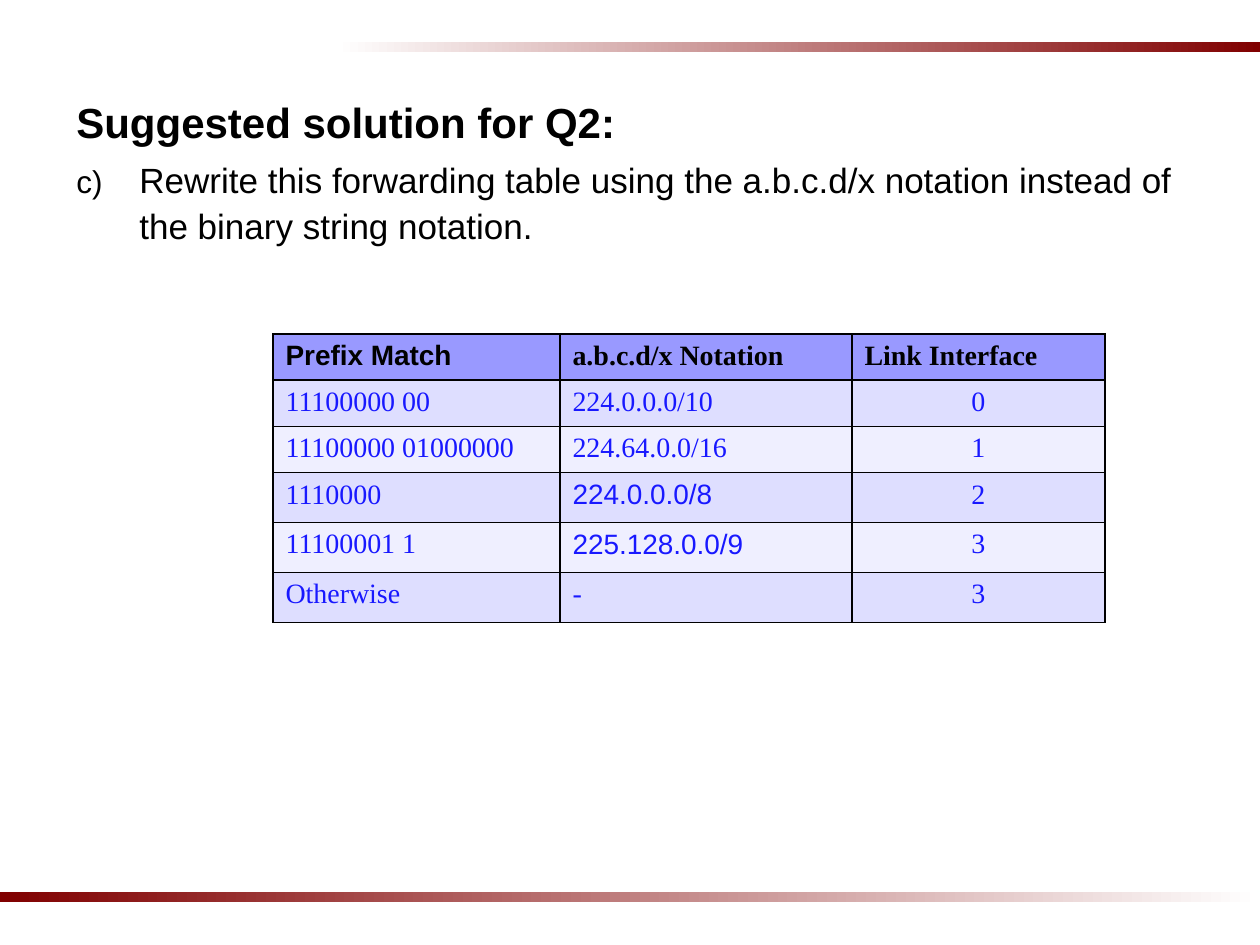
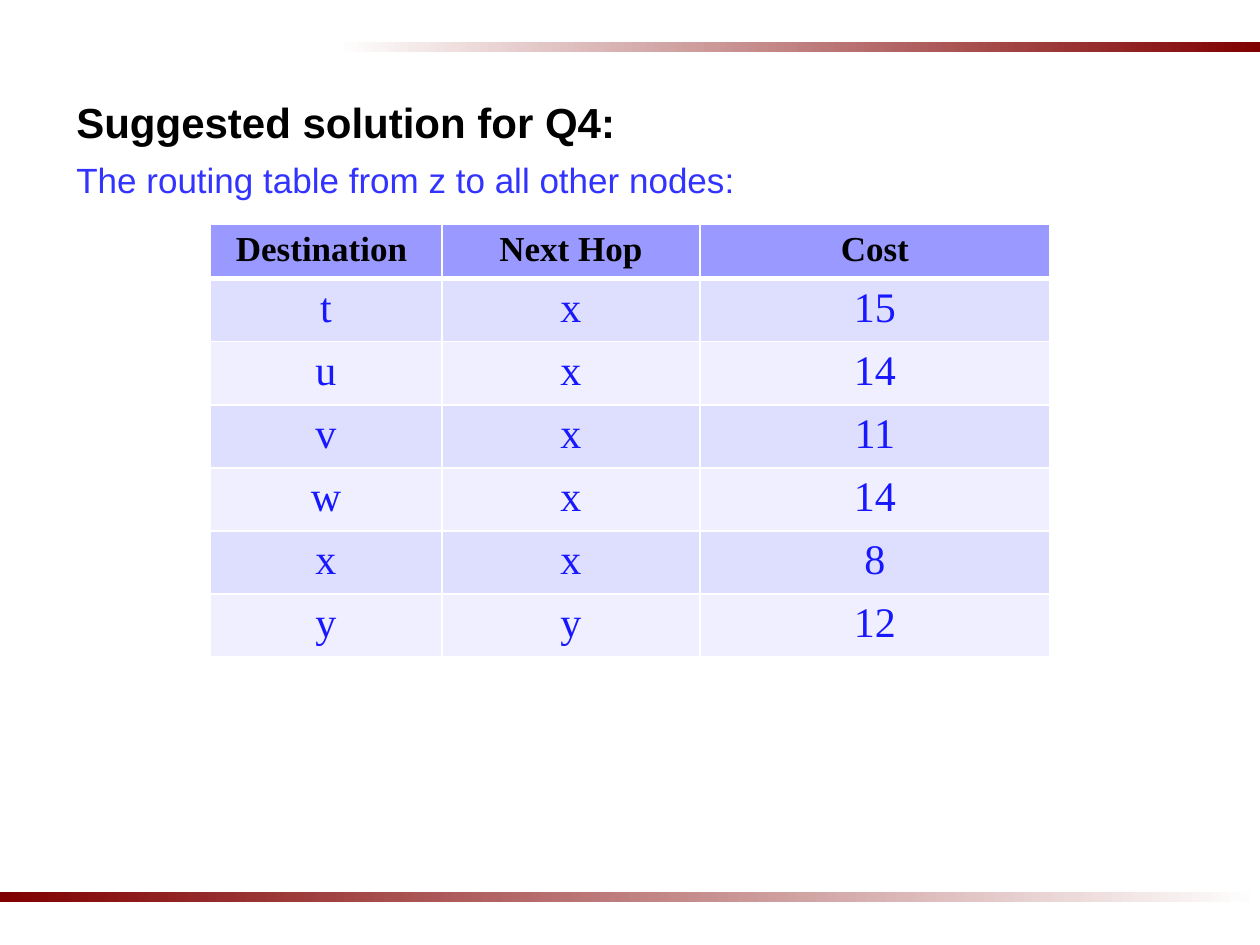
from lxml import etree
from pptx import Presentation
from pptx import util as u
from pptx.dml.color import RGBColor
from pptx.enum import shapes, text
from pptx.oxml import ns

MAROON = RGBColor(0x80, 0x00, 0x00)
WHITE = RGBColor(0xFF, 0xFF, 0xFF)
BLACK = RGBColor(0x00, 0x00, 0x00)
LEAD_BLUE = RGBColor(0x33, 0x33, 0xFF)
ENTRY_BLUE = RGBColor(0x18, 0x18, 0xFF)
HEADER_FILL = RGBColor(0x99, 0x99, 0xFF)
ROW_FILLS = [RGBColor(0xEF, 0xEF, 0xFF), RGBColor(0xDE, 0xDE, 0xFF)]
SANS, SERIF = "Arial", "Times New Roman"

BANDS = [(336, 42, 924, 10, WHITE, MAROON), (0, 892, 1260, 10, MAROON, WHITE)]

solutions = [
    dict(
        title="Suggested solution for Q2:",
        lead="Rewrite this forwarding table using the a.b.c.d/x notation instead of the binary string notation.",
        lead_color=BLACK, number_from=3,
        left=273, top=334, columns=[287, 292, 253], heights=[45, 44, 46, 50, 50, 50],
        header_size=16, entry_size=16, border=BLACK, header_rule=1,
        centred={(row, 2) for row in range(1, 6)},
        sans={(0, 0), (3, 1), (4, 1)},
        rows=[
            ["Prefix Match", "a.b.c.d/x Notation", "Link Interface"],
            ["11100000 00", "224.0.0.0/10", "0"],
            ["11100000 01000000", "224.64.0.0/16", "1"],
            ["1110000", "224.0.0.0/8", "2"],
            ["11100001 1", "225.128.0.0/9", "3"],
            ["Otherwise", "-", "3"],
        ],
    ),
    dict(
        title="Suggested solution for Q4:",
        lead="The routing table from z to all other nodes:",
        lead_color=LEAD_BLUE, number_from=None,
        left=210, top=224, columns=[232, 258, 350], heights=[52] * 7,
        header_size=20, entry_size=24, border=WHITE, header_rule=3,
        centred={(row, column) for row in range(7) for column in range(3)},
        sans=set(),
        rows=[
            ["Destination ", "Next Hop", "Cost"],
            ["t", "x", "15"],
            ["u", "x", "14"],
            ["v", "x", "11"],
            ["w", "x", "14"],
            ["x", "x", "8"],
            ["y", "y", "12"],
        ],
    ),
]


def px(*lengths):
    return [u.Emu(round(length * 914400 / 126)) for length in lengths]


def add_element(parent, tag, **attributes):
    element = etree.SubElement(parent, ns.qn(tag))
    for key, value in attributes.items():
        element.set(key, str(value))
    return element


deck = Presentation()
deck.slide_width, deck.slide_height = px(1260, 945)

for solution in solutions:
    slide = deck.slides.add_slide(deck.slide_layouts[6])

    for left, top, width, height, start, end in BANDS:
        band = slide.shapes.add_shape(shapes.MSO_SHAPE.RECTANGLE, *px(left, top, width, height))
        band.shadow.inherit = False
        band.line.fill.background()
        band.fill.gradient()
        band.fill.gradient_angle = 0
        for stop, color in zip(band.fill.gradient_stops, (start, end)):
            stop.color.rgb = color

    body = slide.shapes.add_textbox(*px(64, 96, 1160, 804)).text_frame
    body.word_wrap = True
    title, lead = body.paragraphs[0], body.add_paragraph()
    title.text, lead.text = solution["title"], solution["lead"]
    title.line_spacing, lead.line_spacing = 0.9, 1.1
    title.space_before, lead.space_before = u.Pt(4.8), u.Pt(4)

    if solution["number_from"]:
        numbering = lead._p.get_or_add_pPr()
        hang = px(63)[0]
        numbering.set("marL", str(hang))
        numbering.set("indent", str(-hang))
        add_element(add_element(numbering, "a:buClr"), "a:srgbClr", val=BLACK)
        add_element(numbering, "a:buSzPct", val=90000)
        add_element(numbering, "a:buAutoNum", type="alphaLcParenR", startAt=solution["number_from"])

    for paragraph, size, color, bold in [(title, 24, BLACK, True), (lead, 20, solution["lead_color"], False)]:
        paragraph.font.name, paragraph.font.size = SANS, u.Pt(size)
        paragraph.font.bold, paragraph.font.color.rgb = bold, color

    columns, heights, rows = solution["columns"], solution["heights"], solution["rows"]
    routes = slide.shapes.add_table(
        len(rows), len(columns),
        *px(solution["left"], solution["top"], sum(columns), sum(heights))).table
    routes.first_row = routes.horz_banding = False
    for column, width in zip(routes.columns, px(*columns)):
        column.width = width
    for row, height in zip(routes.rows, px(*heights)):
        row.height = height

    for r, entries in enumerate(rows):
        is_header = r == 0
        for c, entry in enumerate(entries):
            cell = routes.cell(r, c)
            for side in "LRTB":
                under_header = (r, side) in [(0, "B"), (1, "T")]
                points = solution["header_rule"] if under_header else 1
                edge = add_element(cell._tc.get_or_add_tcPr(), f"a:ln{side}", w=u.Pt(points))
                add_element(add_element(edge, "a:solidFill"), "a:srgbClr", val=solution["border"])
            cell.fill.solid()
            cell.fill.fore_color.rgb = HEADER_FILL if is_header else ROW_FILLS[r % 2]
            cell.text = entry
            paragraph = cell.text_frame.paragraphs[0]
            if (r, c) in solution["centred"]:
                paragraph.alignment = text.PP_ALIGN.CENTER
            font = paragraph.font
            font.name = SANS if (r, c) in solution["sans"] else SERIF
            font.size = u.Pt(solution["header_size" if is_header else "entry_size"])
            font.bold = is_header
            font.color.rgb = BLACK if is_header else ENTRY_BLUE

deck.save("out.pptx")
